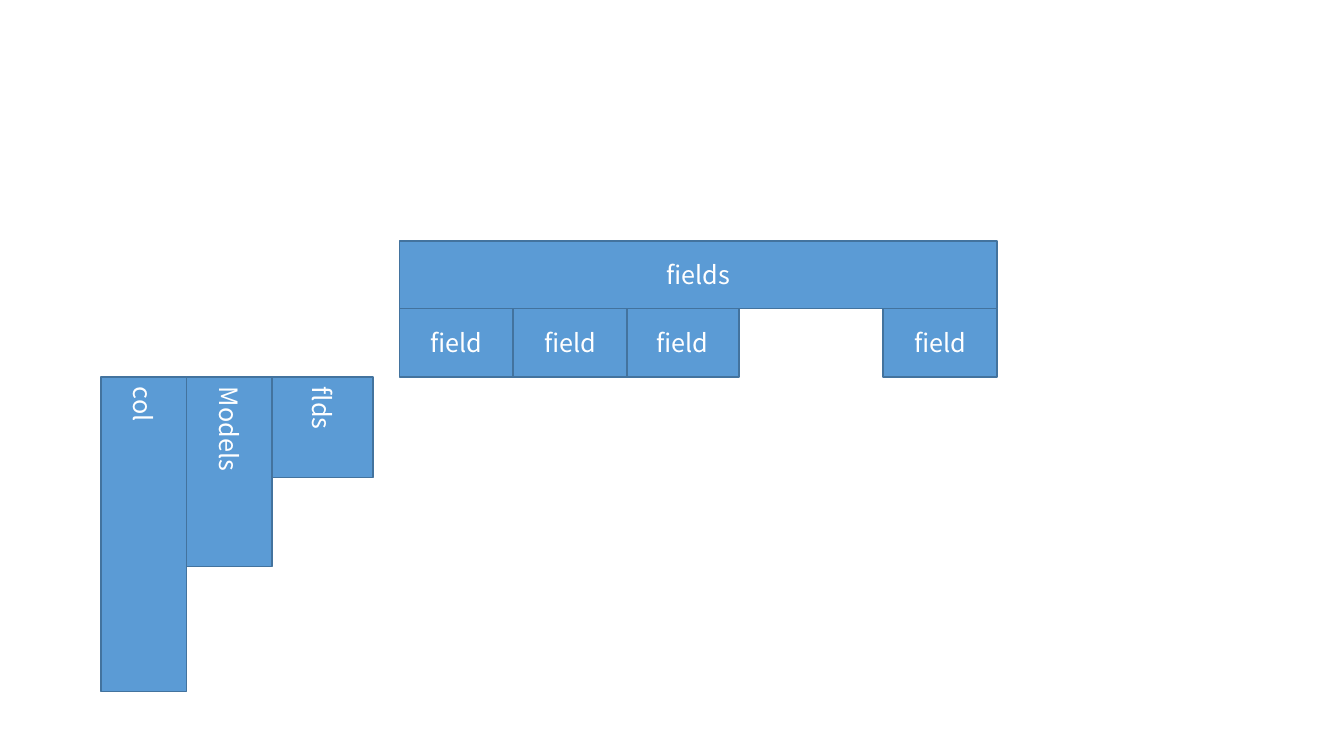
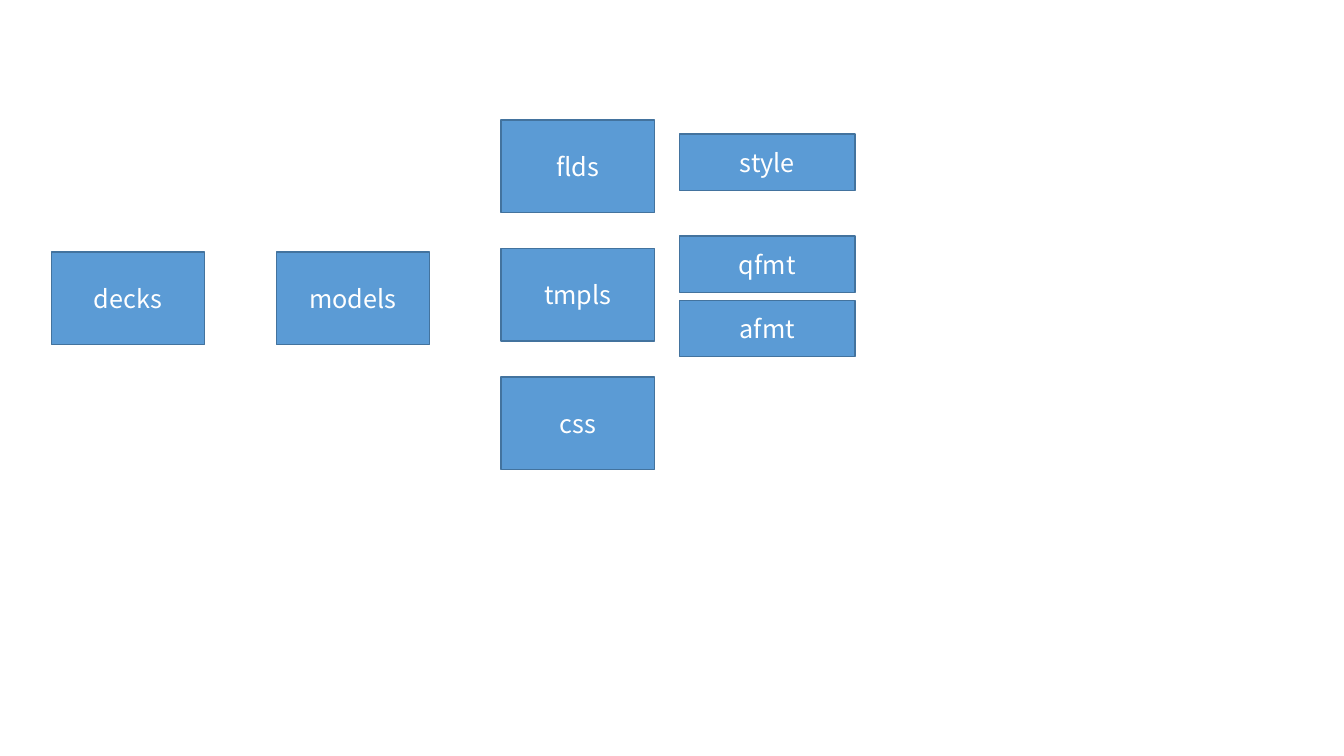
"""Build two slides of block diagrams for a card collection's data layout."""
from dataclasses import dataclass

from pptx import Presentation
from pptx.dml.color import RGBColor
from pptx.enum.shapes import MSO_SHAPE
from pptx.enum.text import MSO_ANCHOR, PP_ALIGN
from pptx.slide import Slide
from pptx.text.text import TextFrame
from pptx.util import Inches, Pt

FONT = "Noto Sans CJK SC"
BLOCK_FILL = "5B9BD5"
BLOCK_EDGE = "43739E"
LABEL_COLOR = "FFFFFF"


@dataclass(frozen=True)
class Block:
    label: str
    left: float
    top: float
    width: float
    height: float
    vertical: bool = False


def rgb(value: str) -> RGBColor:
    return RGBColor.from_string(value)


def write_text(frame: TextFrame, text: str, *, size: float = 18,
               color: str = LABEL_COLOR, vertical: bool = False) -> None:
    frame.word_wrap = True
    frame.vertical_anchor = MSO_ANCHOR.MIDDLE
    if vertical:
        frame._txBody.bodyPr.set("vert", "eaVert")
    paragraph = frame.paragraphs[0]
    paragraph.alignment = PP_ALIGN.CENTER
    run = paragraph.add_run()
    run.text = text
    run.font.name = FONT
    run.font.size = Pt(size)
    run.font.color.rgb = rgb(color)


def draw_block(slide: Slide, block: Block) -> None:
    bounds = (block.left, block.top, block.width, block.height)
    box = slide.shapes.add_shape(MSO_SHAPE.RECTANGLE, *map(Inches, bounds))
    box.shadow.inherit = False
    box.fill.solid()
    box.fill.fore_color.rgb = rgb(BLOCK_FILL)
    box.line.color.rgb = rgb(BLOCK_EDGE)
    box.line.width = Pt(1)
    write_text(box.text_frame, block.label, vertical=block.vertical)


def table_layout() -> list[Block]:
    header = Block("fields", 3.96, 2.39, 5.93, 0.67)
    fields = [Block("field", left, 3.06, 1.13, 0.68)
              for left in (3.96, 6.2, 8.76, 5.09)]
    row_levels = (("col", 0.85, 3.12), ("Models", 0.85, 1.88), ("flds", 1, 1))
    rows = [Block(label, 1 + 0.85 * level, 3.74, width, height, vertical=True)
            for level, (label, width, height) in enumerate(row_levels)]
    return [header, *fields, *rows]


def model_layout() -> list[Block]:
    node_width, node_height, column_step = 1.52, 0.92, 2.23
    parents = [Block(label, 0.51 + column_step * column, 2.5, node_width, node_height)
               for column, label in enumerate(("decks", "models"))]
    parts = [Block(label, 0.51 + column_step * 2, 1.19 + 1.275 * row,
                   node_width, node_height)
             for row, label in enumerate(("flds", "tmpls", "css"))]
    details = [Block(label, 6.74, top, 1.74, 0.56)
               for label, top in (("style", 1.33), ("qfmt", 2.34), ("afmt", 2.98))]
    return [*parents, *parts, *details]


def main() -> None:
    deck = Presentation()
    deck.slide_width = Inches(13.33)
    deck.slide_height = Inches(7.5)
    for layout in (table_layout(), model_layout()):
        slide = deck.slides.add_slide(deck.slide_layouts[6])
        for block in layout:
            draw_block(slide, block)
    deck.save("out.pptx")


main()
